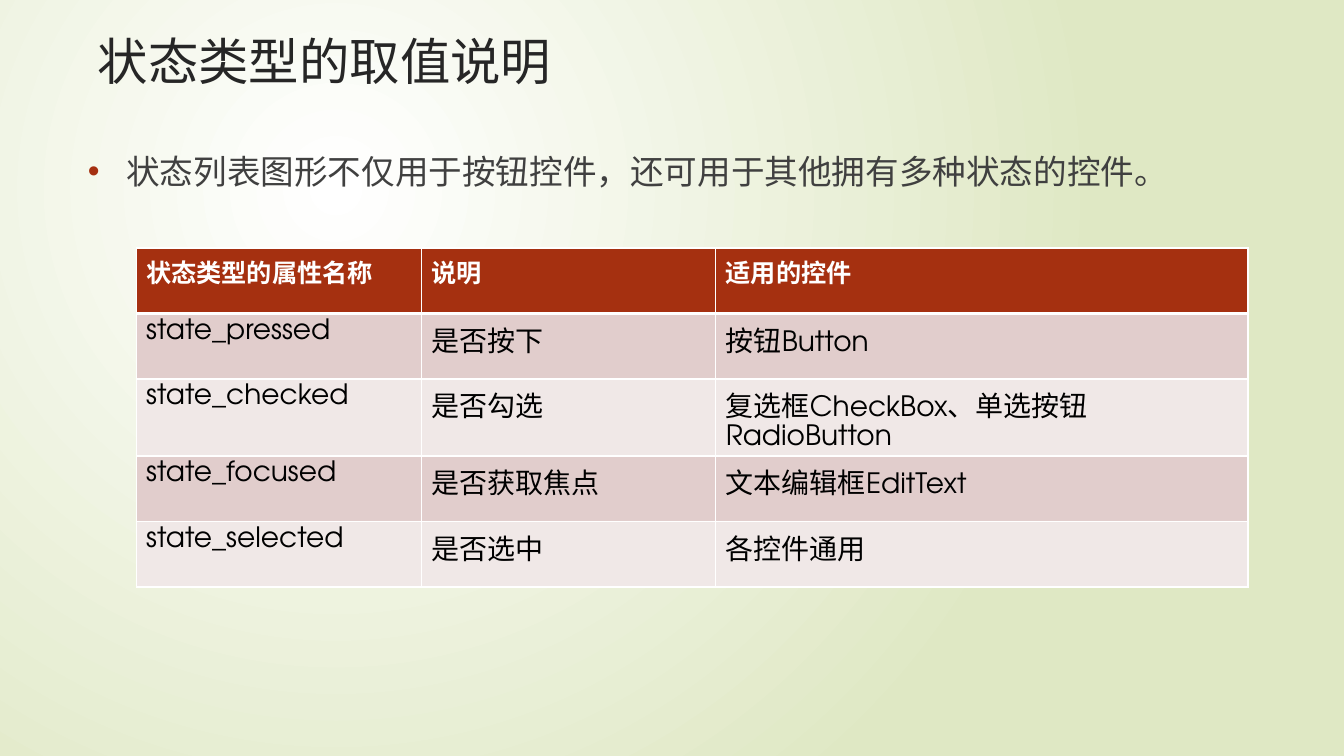
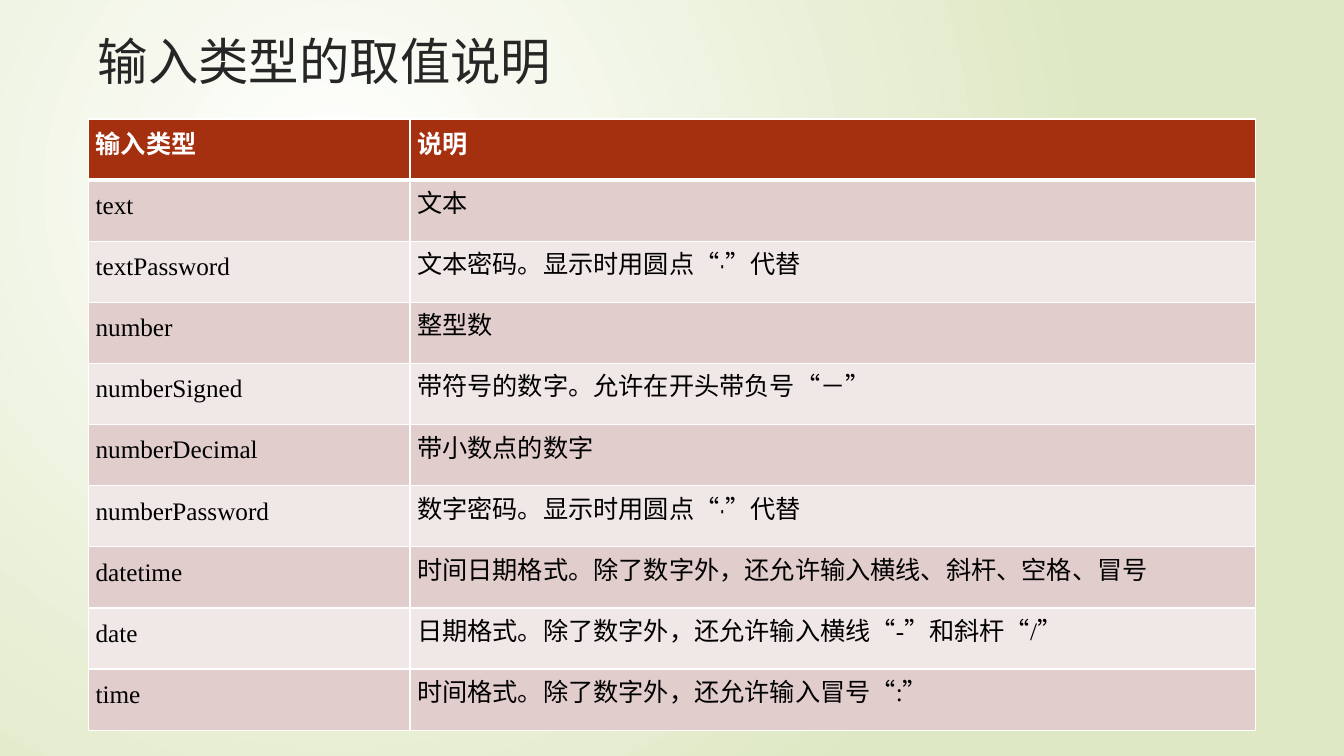
from dataclasses import dataclass

from lxml import etree
from pptx import Presentation
from pptx.dml.color import RGBColor
from pptx.enum.text import MSO_ANCHOR, MSO_AUTO_SIZE, PP_ALIGN
from pptx.oxml.ns import qn
from pptx.util import Cm, Pt

LEFT, JUSTIFY = PP_ALIGN.LEFT, PP_ALIGN.JUSTIFY
TOP, MIDDLE = MSO_ANCHOR.TOP, MSO_ANCHOR.MIDDLE
NO_FIT = MSO_AUTO_SIZE.NONE
LIST_LAYOUT, TITLE_LAYOUT = 1, 5


@dataclass(frozen=True)
class Theme:
    # Colours
    white: str = "FFFFFF"
    green: str = "DFE8C4"
    red: str = "A53010"
    bands: tuple = ("E1CDCC", "F0E8E7")
    title: str = "262626"
    body: str = "404040"
    black: str = "000000"
    # Fonts and sizes
    sans: str = "TeX Gyre Adventor"
    arial: str = "Arial"
    serif: str = "Times New Roman"
    title_size: int = 36
    list_size: int = 24
    cell_size: int = 20
    head_size: int = 18
    # Border widths in points
    thin: int = 1
    thick: int = 3


@dataclass(frozen=True)
class Grid:
    """Text style of one table."""
    head_font: str
    font: str
    size: int
    anchor: int = TOP
    align: int = LEFT
    pad: tuple = (0.25, 0.13)
    head_line: float = None
    line: float = None


def add(parent, tag, **attrs):
    return etree.SubElement(parent, qn(tag), attrs)


def style(run, name, size, color, bold=False):
    font = run.font
    font.name, font.size, font.bold = name, Pt(size), bold
    font.color.rgb = RGBColor.from_string(color)


class Deck:
    def __init__(self, theme):
        self.theme = theme
        self.prs = Presentation()
        self.prs.slide_width, self.prs.slide_height = Cm(33.87), Cm(19.05)
        self.slide = None
        self.paint()

    def paint(self):
        """Radial background shared by all slides."""
        master = self.prs.slide_master
        fill = master.background.fill
        fill.gradient()
        for stop, color in zip(fill.gradient_stops,
                               (self.theme.white, self.theme.green)):
            stop.color.rgb = RGBColor.from_string(color)
        stops = master.element.find(".//" + qn("a:gsLst"))
        grad = stops.getparent()
        for node in list(grad):
            if node is not stops:
                grad.remove(node)
        # Round the stops off to the first and last position
        for stop, place in zip(fill.gradient_stops, (0, 1)):
            stop.position = place
        ring = add(grad, "a:path", path="circle")
        add(ring, "a:fillToRect", l="50000", t="50000", r="100000", b="100000")

    def place(self, shape, left, top, width, height):
        shape.left, shape.top = Cm(left), Cm(top)
        shape.width, shape.height = Cm(width), Cm(height)
        frame = shape.text_frame
        frame.word_wrap, frame.auto_size = True, NO_FIT
        return frame

    def page(self, title, layout):
        t = self.theme
        self.slide = self.prs.slides.add_slide(self.prs.slide_layouts[layout])
        frame = self.place(self.slide.shapes.title, 2.21, 0.64, 27.76, 2.01)
        frame.text = title
        frame.vertical_anchor = TOP
        para = frame.paragraphs[0]
        para.alignment = LEFT
        style(para.runs[0], t.sans, t.title_size, t.title)

    def bullet(self, text):
        t = self.theme
        frame = self.place(self.slide.placeholders[1], 1.96, 3.68, 28.02, 12.47)
        frame.text = text
        para = frame.paragraphs[0]
        props = para._p.get_or_add_pPr()
        indent = Cm(0.97)
        props.set("marL", str(indent))
        props.set("indent", str(-indent))
        add(add(props, "a:buClr"), "a:srgbClr", val=t.red)
        add(props, "a:buFont", typeface="Arial")
        add(props, "a:buChar", char="•")
        para.space_before = Pt(0)
        style(para.runs[0], t.sans, t.list_size, t.body)

    def border(self, cell, row):
        t = self.theme
        props = cell._tc.get_or_add_tcPr()
        widths = {"L": t.thin, "R": t.thin,
                  "T": t.thick if row == 1 else t.thin,
                  "B": t.thick if row == 0 else t.thin}
        for side, width in widths.items():
            line = add(props, "a:ln" + side, w=str(Pt(width)))
            add(add(line, "a:solidFill"), "a:srgbClr", val=t.white)

    def cell(self, cell, text, row, grid):
        """Bars in the text set off parts in the sans font."""
        t = self.theme
        head = row == 0
        self.border(cell, row)
        cell.fill.solid()
        color = t.red if head else t.bands[(row - 1) % 2]
        cell.fill.fore_color.rgb = RGBColor.from_string(color)
        cell.vertical_anchor = grid.anchor
        side, edge = grid.pad
        cell.margin_left = cell.margin_right = Cm(side)
        cell.margin_top = cell.margin_bottom = Cm(edge)
        para = cell.text_frame.paragraphs[0]
        para.alignment = grid.align if head else LEFT
        space = grid.head_line if head else grid.line
        if space:
            para.line_spacing = Pt(space)
        for i, part in enumerate(text.split("|")):
            run = para.add_run()
            run.text = part
            if head:
                style(run, grid.head_font, t.head_size, t.white, True)
            else:
                style(run, t.sans if i % 2 else grid.font, grid.size, t.black)

    def table(self, left, top, cols, height, rows, grid):
        shape = self.slide.shapes.add_table(
            len(rows), len(cols), Cm(left), Cm(top),
            Cm(sum(cols)), Cm(height * len(rows)))
        table = shape.table
        for col, width in zip(table.columns, cols):
            col.width = Cm(width)
        for r, texts in enumerate(rows):
            table.rows[r].height = Cm(height)
            for c, text in enumerate(texts):
                self.cell(table.cell(r, c), text, r, grid)


STATES = [
    ("状态类型的属性名称", "说明", "适用的控件"),
    ("state_pressed", "是否按下", "按钮Button"),
    ("state_checked", "是否勾选", "复选框CheckBox、单选按钮RadioButton"),
    ("state_focused", "是否获取焦点", "文本编辑框EditText"),
    ("state_selected", "是否选中", "各控件通用"),
]

INPUTS = [
    ("输入类型", "说明"),
    ("text", "文本"),
    ("textPassword", "文本密码。显示时用|圆点“·”|代替"),
    ("number", "整型数"),
    ("numberSigned", "带符号的数字。允许在开头带负号“－”"),
    ("numberDecimal", "带小数点的数字"),
    ("numberPassword", "数字密码。显示时用|圆点“·”|代替"),
    ("datetime", "时间日期格式。除了数字外，还允许输入横线、斜杆、空格、冒号"),
    ("date", "日期格式。除了数字外，还允许输入横线“-”和斜杆“/”"),
    ("time", "时间格式。除了数字外，还允许输入冒号“:”"),
]


def main():
    t = Theme()
    deck = Deck(t)

    # State types
    deck.page("状态类型的取值说明", LIST_LAYOUT)
    deck.bullet("状态列表图形不仅用于按钮控件，还可用于其他拥有多种状态的控件。")
    deck.table(3.43, 6.25, (7.19, 7.42, 13.41), 1.65, STATES,
               Grid(t.sans, t.sans, t.cell_size))

    # Input types
    deck.page("输入类型的取值说明", TITLE_LAYOUT)
    deck.table(2.23, 3, (8.1, 21.31), 1.54, INPUTS,
               Grid(t.arial, t.serif, t.head_size, MIDDLE, JUSTIFY,
                    (0.18, 0), 15.6, 13))

    deck.prs.save("out.pptx")


if __name__ == "__main__":
    main()
